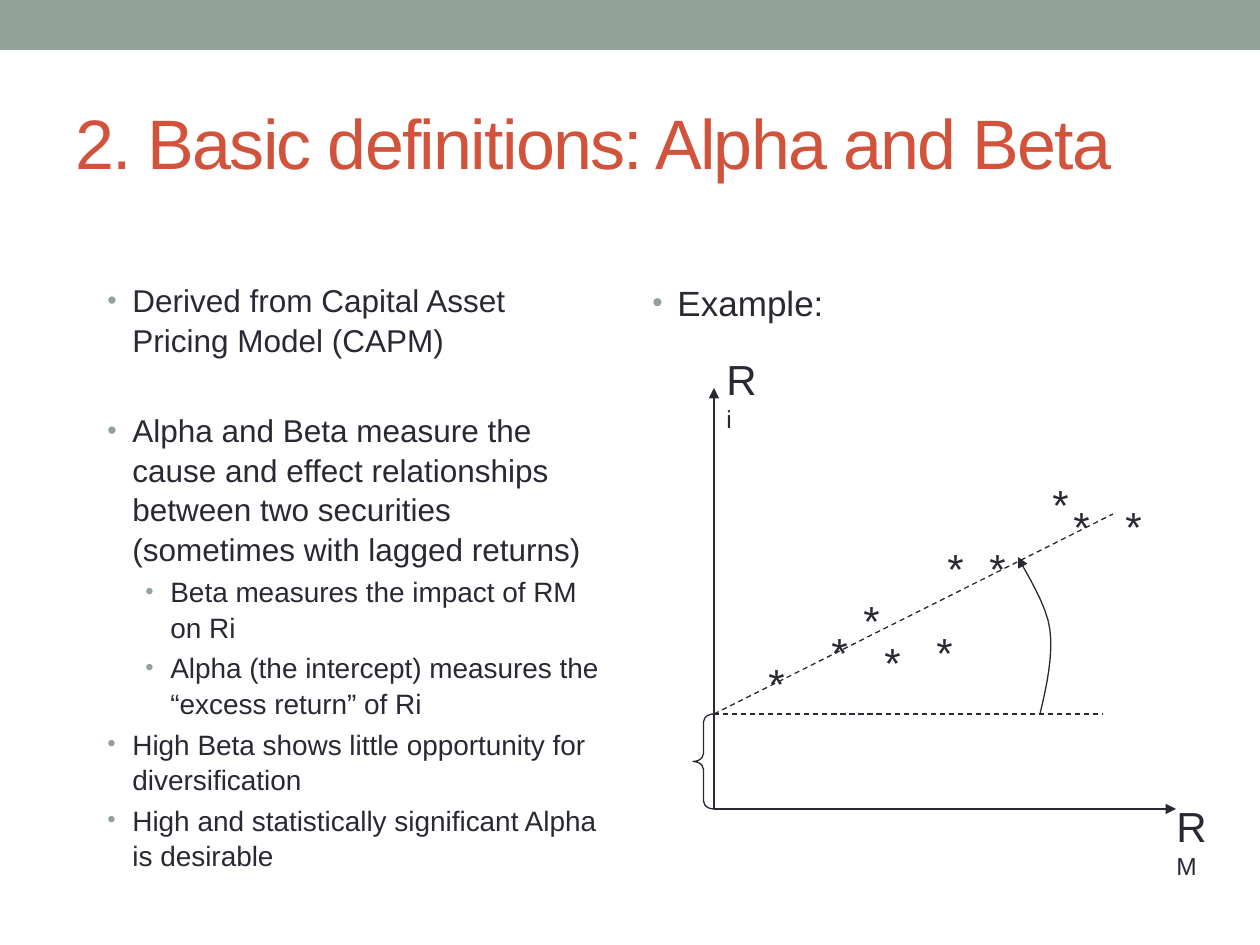
from dataclasses import dataclass

import pptx
import pptx.dml.color
import pptx.enum.dml
import pptx.enum.shapes
import pptx.enum.text
import pptx.oxml.ns
import pptx.util
from lxml import etree

EMU_PER_PX = 914400 / 126
FONT = "Arial"
INK = pptx.dml.color.RGBColor(0x29, 0x29, 0x34)
SAGE = pptx.dml.color.RGBColor(0x93, 0xA2, 0x99)
RUST = pptx.dml.color.RGBColor(0xD2, 0x53, 0x3C)
HANGING = 25
LINE_SPACING = 1.05


@dataclass(frozen=True)
class Box:
    left: int
    top: int
    width: int
    height: int


@dataclass(frozen=True)
class Bullet:
    text: str
    size: int
    level: int = 0
    gap_lines: int = 0


@dataclass(frozen=True)
class Line:
    start: tuple[int, int]
    end: tuple[int, int]
    arrow: bool = False
    dashed: bool = False


@dataclass(frozen=True)
class AxisLabel:
    box: Box
    subscript: str


DEFINITIONS = [
    Bullet("Derived from Capital Asset Pricing Model (CAPM)", 18),
    Bullet("Alpha and Beta measure the cause and effect relationships between "
           "two securities (sometimes with lagged returns)", 18, gap_lines=1),
    Bullet("Beta measures the impact of RM on Ri", 16, level=1),
    Bullet("Alpha (the intercept) measures the “excess return” of Ri", 16, level=1),
    Bullet("High Beta shows little opportunity for diversification", 16),
    Bullet("High and statistically significant Alpha is desirable", 16),
]
EXAMPLE = [Bullet("Example:", 20)]

ORIGIN = (714, 809)
INTERCEPT = (714, 714)
LINES = [
    Line(ORIGIN, (1176, 809), arrow=True),
    Line(ORIGIN, (714, 388), arrow=True),
    Line(INTERCEPT, (1113, 514), dashed=True),
    Line(INTERCEPT, (1103, 714), dashed=True),
]
AXIS_LABELS = [
    AxisLabel(Box(1164, 794, 74, 63), "M"),
    AxisLabel(Box(714, 347, 58, 63), "i"),
]
OBSERVATIONS = [
    (1040, 472), (1061, 494), (851, 588), (935, 536), (924, 620),
    (756, 651), (819, 620), (977, 536), (1113, 494), (872, 630),
]
SLOPE_CURVES = [
    ((1040, 714), (1047, 685), (1053, 656), (1050, 630)),
    ((1050, 630), (1047, 604), (1023, 568), (1018, 557)),
]
CURVE_STEPS = 8


def px(length: float) -> pptx.util.Emu:
    return pptx.util.Emu(round(length * EMU_PER_PX))


def frame(box: Box) -> tuple:
    return px(box.left), px(box.top), px(box.width), px(box.height)


def add_element(parent, tag: str, **attributes: str):
    return etree.SubElement(parent, pptx.oxml.ns.qn(tag), attributes)


def add_text_frame(shapes, box: Box):
    text_frame = shapes.add_textbox(*frame(box)).text_frame
    text_frame.word_wrap = True
    return text_frame


def add_run(paragraph, text: str, size: int, color=INK):
    run = paragraph.add_run()
    run.text = text
    run.font.name = FONT
    run.font.size = pptx.util.Pt(size)
    run.font.color.rgb = color
    return run


def add_bullets(shapes, box: Box, bullets: list[Bullet]) -> None:
    text_frame = add_text_frame(shapes, box)
    for index, bullet in enumerate(bullets):
        paragraph = text_frame.paragraphs[0] if index == 0 else text_frame.add_paragraph()
        paragraph.level = bullet.level
        properties = paragraph._p.get_or_add_pPr()
        properties.set("marL", str(px(HANGING + 38 * bullet.level)))
        properties.set("indent", str(px(-HANGING)))
        color = add_element(properties, "a:buClr")
        add_element(color, "a:srgbClr", val=str(SAGE))
        add_element(properties, "a:buSzPct", val="85000")
        add_element(properties, "a:buFont", typeface=FONT)
        add_element(properties, "a:buChar", char="•")
        paragraph.line_spacing = LINE_SPACING
        if index:
            space = 0.2 * bullet.size + bullet.gap_lines * 1.4 * bullet.size
            paragraph.space_before = pptx.util.Pt(round(space, 1))
        add_run(paragraph, bullet.text, bullet.size)


def style_line(shape, arrow: bool = False, dashed: bool = False) -> None:
    shape.line.color.rgb = INK
    shape.line.width = pptx.util.Pt(0.75)
    if dashed:
        shape.line.dash_style = pptx.enum.dml.MSO_LINE.DASH
    if arrow:
        add_element(shape.line._get_or_add_ln(), "a:tailEnd", type="triangle")


def add_line(shapes, line: Line) -> None:
    connector = shapes.add_connector(
        pptx.enum.shapes.MSO_CONNECTOR.STRAIGHT,
        *(px(value) for value in line.start + line.end))
    style_line(connector, line.arrow, line.dashed)
    add_element(connector._element.spPr, "a:effectLst")


def bezier_point(curve: tuple, t: float) -> tuple[int, int]:
    weights = ((1 - t) ** 3, 3 * t * (1 - t) ** 2, 3 * t ** 2 * (1 - t), t ** 3)
    x, y = (sum(w * point[axis] for w, point in zip(weights, curve)) for axis in (0, 1))
    return px(x), px(y)


def add_slope_arrow(shapes) -> None:
    points = [bezier_point(curve, step / CURVE_STEPS)
              for curve in SLOPE_CURVES for step in range(1, CURVE_STEPS + 1)]
    builder = shapes.build_freeform(*bezier_point(SLOPE_CURVES[0], 0))
    builder.add_line_segments(points, close=False)
    arc = builder.convert_to_shape()
    arc.shadow.inherit = False
    arc.fill.background()
    style_line(arc, arrow=True)


def add_diagram(slide) -> None:
    shapes = slide.shapes.add_group_shape().shapes
    for left, top in OBSERVATIONS:
        star = add_text_frame(shapes, Box(left, top, 53, 63))
        add_run(star.paragraphs[0], "*", 24)
    for label in AXIS_LABELS:
        paragraph = add_text_frame(shapes, label.box).paragraphs[0]
        add_run(paragraph, "R", 24)
        add_run(paragraph, label.subscript, 14)
    for line in LINES:
        add_line(shapes, line)
    add_slope_arrow(shapes)
    alpha_brace = shapes.add_shape(
        pptx.enum.shapes.MSO_SHAPE.LEFT_BRACE, *frame(Box(693, 714, 21, 95)))
    alpha_brace.adjustments[0] = 0.375
    alpha_brace.shadow.inherit = False
    alpha_brace.fill.background()
    style_line(alpha_brace)


def main() -> None:
    presentation = pptx.Presentation()
    presentation.slide_width, presentation.slide_height = px(1260), px(945)
    slide = presentation.slides.add_slide(presentation.slide_layouts[6])
    banner = slide.shapes.add_shape(
        pptx.enum.shapes.MSO_SHAPE.RECTANGLE, *frame(Box(0, 0, 1260, 50)))
    banner.shadow.inherit = False
    banner.fill.solid()
    banner.fill.fore_color.rgb = SAGE
    banner.line.fill.background()
    title = add_text_frame(slide.shapes, Box(63, 73, 1134, 136))
    title.vertical_anchor = pptx.enum.text.MSO_ANCHOR.MIDDLE
    heading = add_run(title.paragraphs[0], "2. Basic definitions: Alpha and Beta", 40, RUST)
    heading.font._element.set("spc", "-100")
    add_bullets(slide.shapes, Box(95, 273, 525, 651), DEFINITIONS)
    add_bullets(slide.shapes, Box(640, 273, 525, 557), EXAMPLE)
    add_diagram(slide)
    presentation.save("out.pptx")


if __name__ == "__main__":
    main()
